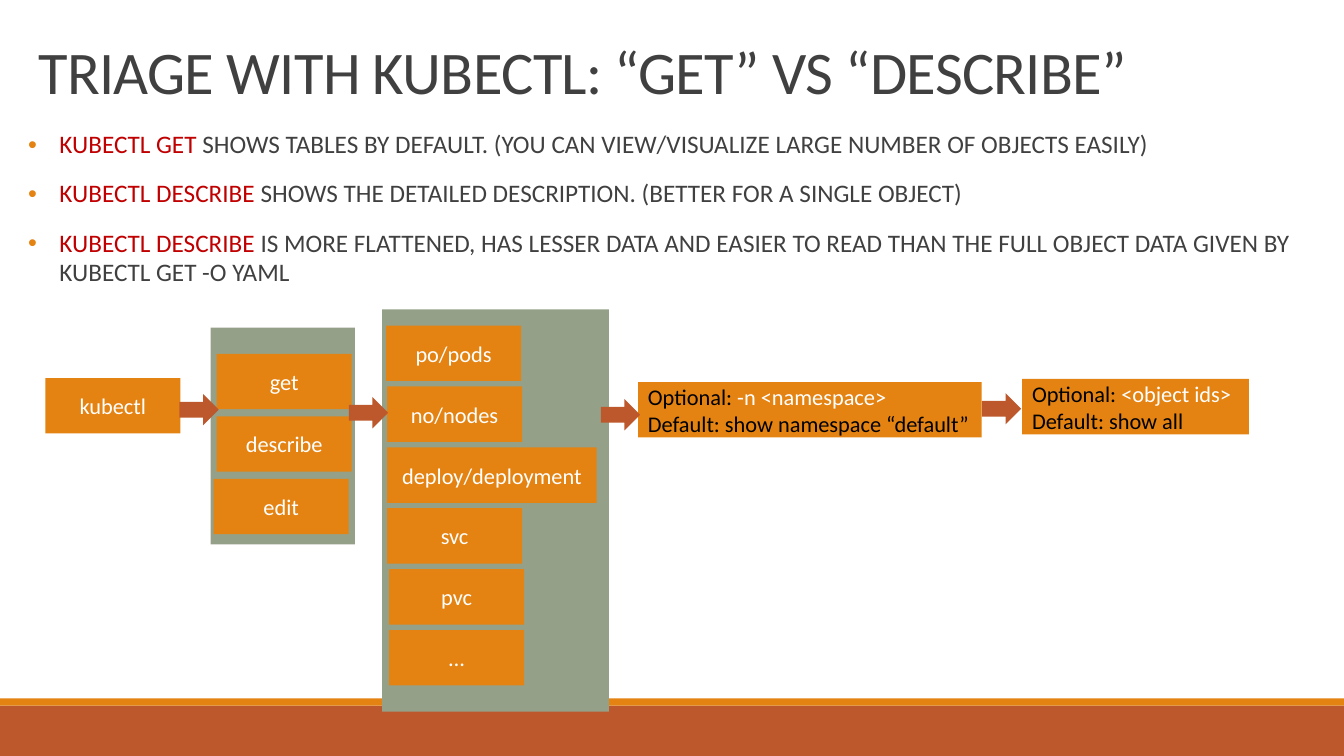
from dataclasses import dataclass
from lxml.etree import SubElement as Sub
from pptx import Presentation
from pptx.dml.color import RGBColor as RGB
from pptx.enum.shapes import MSO_SHAPE as Kind
from pptx.enum.text import MSO_ANCHOR as Anchor, MSO_AUTO_SIZE as Fit, PP_ALIGN as Align
from pptx.oxml.ns import qn
from pptx.util import Inches, Pt


@dataclass(frozen=True)
class Theme:
    font: str = "Calibri"
    ink: str = "404040"
    red: str = "C00000"
    orange: str = "E48312"
    rust: str = "BD582C"
    sage: str = "94A088"
    white: str = "FFFFFF"
    black: str = "000000"
    title: float = 43.2
    body: float = 18
    label: float = 16


T = Theme()
CELL = Inches(0.1)  # side of a grid square
COLS, ROWS = 133.33, 75
TILE = (13.4, 5.5)  # usual label size
ARROW = (3.9, 3.1)


def span(*cells):
    return [round(cell * CELL) for cell in cells]


def style(run, size, color):
    run.font.name, run.font.size = T.font, Pt(size)
    run.font.color.rgb = RGB.from_string(color)


def block(slide, box, color, kind=Kind.RECTANGLE):
    shape = slide.shapes.add_shape(kind, *span(*box))
    shape.shadow.inherit = False
    shape.fill.solid()
    shape.fill.fore_color.rgb = RGB.from_string(color)
    shape.line.fill.background()
    return shape


def tile(slide, box, text):
    frame = block(slide, box, T.orange).text_frame
    frame.text = text
    frame.word_wrap = True
    frame.vertical_anchor = Anchor.MIDDLE
    para = frame.paragraphs[0]
    para.alignment = Align.CENTER
    style(para.runs[0], T.label, T.white)


# Bands along the foot
def foot(slide, box):
    x, y, w, h = box
    thin = 0.7
    block(slide, (x, y + thin, w, h - thin), T.rust)
    block(slide, (x, y, w, thin), T.orange)


def head(slide, box, text):
    title = slide.shapes.title
    title.left, title.top, title.width, title.height = span(*box)
    frame = title.text_frame
    frame.text = text
    frame.auto_size = Fit.NONE
    frame.vertical_anchor = Anchor.BOTTOM
    para = frame.paragraphs[0]
    para.alignment, para.line_spacing = Align.LEFT, 0.85
    style(para.runs[0], T.title, T.ink)
    para.runs[0].font._element.set("spc", "-50")


def bullet(para):
    props = para._p.get_or_add_pPr()
    hang = Inches(0.31)
    props.set("marL", str(hang))
    props.set("indent", str(-hang))
    Sub(Sub(props, qn("a:buClr")), qn("a:srgbClr"), val=T.orange)
    Sub(props, qn("a:buFont"), typeface="Arial")
    Sub(props, qn("a:buChar"), char="•")


# Bulleted notes, each opening with a command in red
def notes(slide, box, items):
    frame = slide.shapes.add_textbox(*span(*box)).text_frame
    frame.word_wrap = True
    frame.margin_left = frame.margin_right = 0
    for i, (verb, *lines) in enumerate(items):
        para = frame.add_paragraph() if i else frame.paragraphs[0]
        para.text = verb
        bullet(para)
        para.line_spacing = 0.98
        para.space_before, para.space_after = Pt(12 if i else 0), Pt(2)
        for j, line in enumerate(lines):
            if j:
                para.add_line_break()
            para.add_run().text = line
        for j, run in enumerate(para.runs):
            style(run, T.body, T.ink if j else T.red)
            run.font._element.set("cap", "all")


# Panel with a stack of evenly spaced labels: (text, inset, width)
def stack(slide, box, top, last, items):
    x, y, w, h = box
    block(slide, box, T.sage)
    step = (last - top) / (len(items) - 1)
    for i, (text, inset, wide) in enumerate(items):
        tile(slide, (x + inset, y + top + i * step, wide, TILE[1]), text)


# Optional argument and its default
def option(slide, box, lead, value, default):
    frame = block(slide, box, T.orange).text_frame
    frame.word_wrap = True
    frame.vertical_anchor = Anchor.MIDDLE
    first, second = frame.paragraphs[0], frame.add_paragraph()
    first.text, second.text = lead, default
    first.add_run().text = value
    for para in (first, second):
        para.alignment = Align.LEFT
        for run in para.runs:
            style(run, T.label, T.white if run.text == value else T.black)


# Command flow from left to right
def flow(slide, box):
    x, y, w, h = box
    wide = TILE[0]
    stack(slide, (x + 33.4, y, 22.5, h), 1.6, 31.8,
          [("po/pods", 0.4, wide), ("no/nodes", 0.5, wide),
           ("deploy/deployment", 0.5, 20.8), ("svc", 0.5, wide),
           ("pvc", 0.7, wide), ("…", 0.7, wide)])
    stack(slide, (x + 16.4, y + 1.8, 14.3, 21.5), 2.6, 15,
          [("get", 0.6, wide), ("describe", 0.6, wide), ("edit", 0.3, wide)])
    tile(slide, (x, y + 6.8, *TILE), "kubectl")
    option(slide, (x + 58.8, y + 7.2, 34.1, TILE[1]), "Optional:",
           " -n <namespace>", "Default: show namespace “default”")
    option(slide, (x + 96.9, y + 6.9, 22.5, TILE[1]), "Optional: ",
           "<object ids>", "Default: show all")
    for dx, dy in ((13.3, 8.4), (30.1, 8.7), (55.1, 8.9), (92.9, 8.3)):
        block(slide, (x + dx, y + dy, *ARROW), T.rust, Kind.RIGHT_ARROW)


def main():
    deck = Presentation()
    deck.slide_width, deck.slide_height = span(COLS, ROWS)
    slide = deck.slides.add_slide(deck.slide_layouts[5])
    foot(slide, (0, 69.3, COLS, 5.7))
    head(slide, (2.8, 6.2, 113.5, 4.9), "TRIAGE WITH KUBECTL: “GET” VS “DESCRIBE”")
    notes(slide, (2.8, 12.4, 126.9, 19.6), [
        ("kubectl get ", "shows tables by default. "
         "(You can view/visualize large number of objects easily)"),
        ("kubectl describe ", "shows the detailed description. (Better for a single object)"),
        ("kubectl describe ", "is more flattened, has lesser data and easier to read "
         "than the full object data given by ", "kubectl get -o yaml")])
    flow(slide, (4.5, 30.7, 119.4, 39.9))
    deck.save("out.pptx")


if __name__ == "__main__":
    main()
